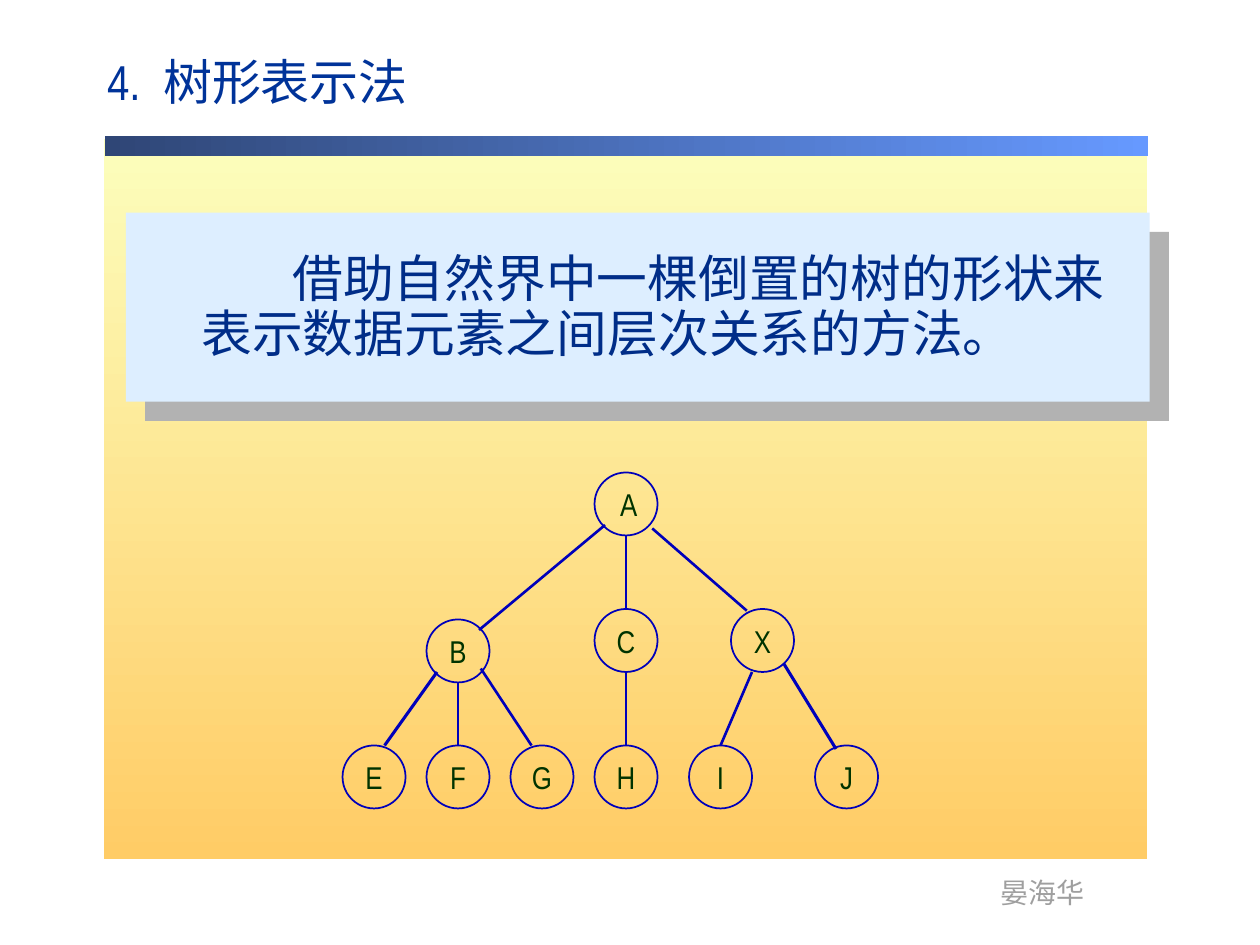
from lxml import etree
from pptx import Presentation
from pptx.dml.color import RGBColor
from pptx.enum.shapes import MSO_CONNECTOR, MSO_SHAPE
from pptx.enum.text import MSO_ANCHOR, MSO_AUTO_SIZE, PP_ALIGN
from pptx.oxml.ns import qn
from pptx.util import Pt

RECTANGLE, OVAL = MSO_SHAPE.RECTANGLE, MSO_SHAPE.OVAL
STRAIGHT = MSO_CONNECTOR.STRAIGHT
TOP, MIDDLE = MSO_ANCHOR.TOP, MSO_ANCHOR.MIDDLE
LEFT, CENTER = PP_ALIGN.LEFT, PP_ALIGN.CENTER
NO_AUTOFIT = MSO_AUTO_SIZE.NONE

LATIN_FONT = "Arial Narrow"
CHINESE_FONT = "Noto Sans CJK SC"
COLORS = {
    "title": "003399",
    "statement": "002D88",
    "statement_box": "DDEEFF",
    "shadow": "B2B2B2",
    "panel_top": "FCFEBC",
    "panel_bottom": "FFCC66",
    "bar_left": "2F4676",
    "bar_right": "6699FF",
    "tree_line": "0000BA",
    "node_text": "003300",
    "author": "9F9F9F",
}

NODE_SIZE = 36
LEAF_TOP = 156
# Node label: left and top within the tree
NODES = {
    "J": (270, LEAF_TOP), "I": (198, LEAF_TOP), "H": (144, LEAF_TOP),
    "G": (96, LEAF_TOP), "F": (48, LEAF_TOP), "E": (0, LEAF_TOP),
    " A": (144, 0), "C": (144, 78), "X": (222, 78), "B": (48, 84),
}
# Start x, start y, end x, end y within the tree, and line width
EDGES = [
    (216, 156, 234, 114, 1.5),
    (108, 156, 79, 112, 1.5),
    (66, 156, 66, 120, 1.5),
    (24, 156, 54, 114, 1.75),
    (78, 90, 150, 30, 1.5),
    (282, 158, 252, 109, 1.75),
    (231, 79, 177, 32, 1.5),
    (162, 156, 162, 114, 1.5),
    (162, 78, 162, 36, 1.5),
]


def color(name):
    return RGBColor.from_string(COLORS[name])


def add_run(paragraph, text, size, color_name, latin=LATIN_FONT):
    run = paragraph.add_run()
    run.text = text
    run.font.size = Pt(size)
    run.font.name = latin
    run.font.color.rgb = color(color_name)
    east_asian = etree.Element(qn("a:ea"), typeface=CHINESE_FONT)
    run.font._element.find(qn("a:latin")).addnext(east_asian)


def add_plain_shape(shapes, kind, left, top, width, height):
    shape = shapes.add_shape(kind, Pt(left), Pt(top), Pt(width), Pt(height))
    shape.shadow.inherit = False
    shape.line.fill.background()
    return shape


def add_gradient_box(slide, box, start, end, angle):
    shape = add_plain_shape(slide.shapes, RECTANGLE, *box)
    shape.fill.gradient()
    shape.fill.gradient_angle = angle
    for stop, name in zip(shape.fill.gradient_stops, (start, end)):
        stop.color.rgb = color(name)


def add_backdrop(slide, left, top, width, height):
    add_gradient_box(slide, (left, top, width, height),
                     "panel_top", "panel_bottom", 270)
    add_gradient_box(slide, (left + 0.5, top - 1.5, width, 11),
                     "bar_left", "bar_right", 0)


def add_author(slide, left, top, width, height):
    box = slide.shapes.add_textbox(Pt(left), Pt(top), Pt(width), Pt(height))
    box.text_frame.word_wrap = False
    add_run(box.text_frame.paragraphs[0], "晏海华", 16, "author")


def fill_title(slide, left, top, width, height):
    title = slide.shapes.title
    title.left, title.top = Pt(left), Pt(top)
    title.width, title.height = Pt(width), Pt(height)
    frame = title.text_frame
    frame.auto_size = NO_AUTOFIT
    frame.vertical_anchor = TOP
    paragraph = frame.paragraphs[0]
    paragraph.alignment = LEFT
    tabs = etree.SubElement(paragraph._p.get_or_add_pPr(), qn("a:tabLst"))
    etree.SubElement(tabs, qn("a:tab"), pos=str(Pt(32)), algn="l")
    add_run(paragraph, "4.\t", 28, "title")
    add_run(paragraph, "树形表示法", 28, "title", CHINESE_FONT)


def add_statement(slide, left, top, width, height):
    panel = add_plain_shape(slide.shapes, RECTANGLE, left, top, width, height)
    panel.fill.solid()
    panel.fill.fore_color.rgb = color("statement_box")
    effects = panel._element.spPr.find(qn("a:effectLst"))
    shadow = etree.SubElement(effects, qn("a:outerShdw"), blurRad="0",
                              dist=str(Pt(15.6)), dir="2700000",
                              algn="ctr", rotWithShape="0")
    etree.SubElement(shadow, qn("a:srgbClr"), val=COLORS["shadow"])

    box = slide.shapes.add_textbox(Pt(left + 36), Pt(top + 20),
                                   Pt(width - 51), Pt(70))
    frame = box.text_frame
    frame.word_wrap = True
    frame.vertical_anchor = MIDDLE
    paragraph = frame.paragraphs[0]
    paragraph.line_spacing = 0.9
    paragraph._p.get_or_add_pPr().set("indent", str(Pt(52)))
    add_run(paragraph, "借助自然界中一棵倒置的树的形状来表示数据元素之间层次关系的方法。",
            29, "statement")


def add_node(shapes, label, left, top):
    node = add_plain_shape(shapes, OVAL, left, top, NODE_SIZE, NODE_SIZE)
    node.fill.background()
    node.line.color.rgb = color("tree_line")
    node.line.width = Pt(1)
    frame = node.text_frame
    frame.word_wrap = False
    frame.vertical_anchor = MIDDLE
    paragraph = frame.paragraphs[0]
    paragraph.alignment = CENTER
    add_run(paragraph, label, 18, "node_text")


def add_tree(slide, left, top):
    shapes = slide.shapes.add_group_shape().shapes
    for label, (x, y) in NODES.items():
        add_node(shapes, label, left + x, top + y)
    for start_x, start_y, end_x, end_y, width in EDGES:
        edge = shapes.add_connector(STRAIGHT, Pt(left + start_x), Pt(top + start_y),
                                    Pt(left + end_x), Pt(top + end_y))
        edge.line.color.rgb = color("tree_line")
        edge.line.width = Pt(width)
        etree.SubElement(edge._element.spPr, qn("a:effectLst"))


def main():
    presentation = Presentation()
    presentation.slide_width, presentation.slide_height = Pt(720), Pt(540)
    title_only = presentation.slide_layouts[5]
    slide = presentation.slides.add_slide(title_only)
    add_backdrop(slide, 59.5, 79.5, 596, 411.5)
    add_author(slide, 564.5, 497, 63, 27)
    fill_title(slide, 54, 26, 204.5, 41)
    add_statement(slide, 72, 121.5, 585, 108)
    add_tree(slide, 195.75, 270)
    presentation.save("out.pptx")


if __name__ == "__main__":
    main()
